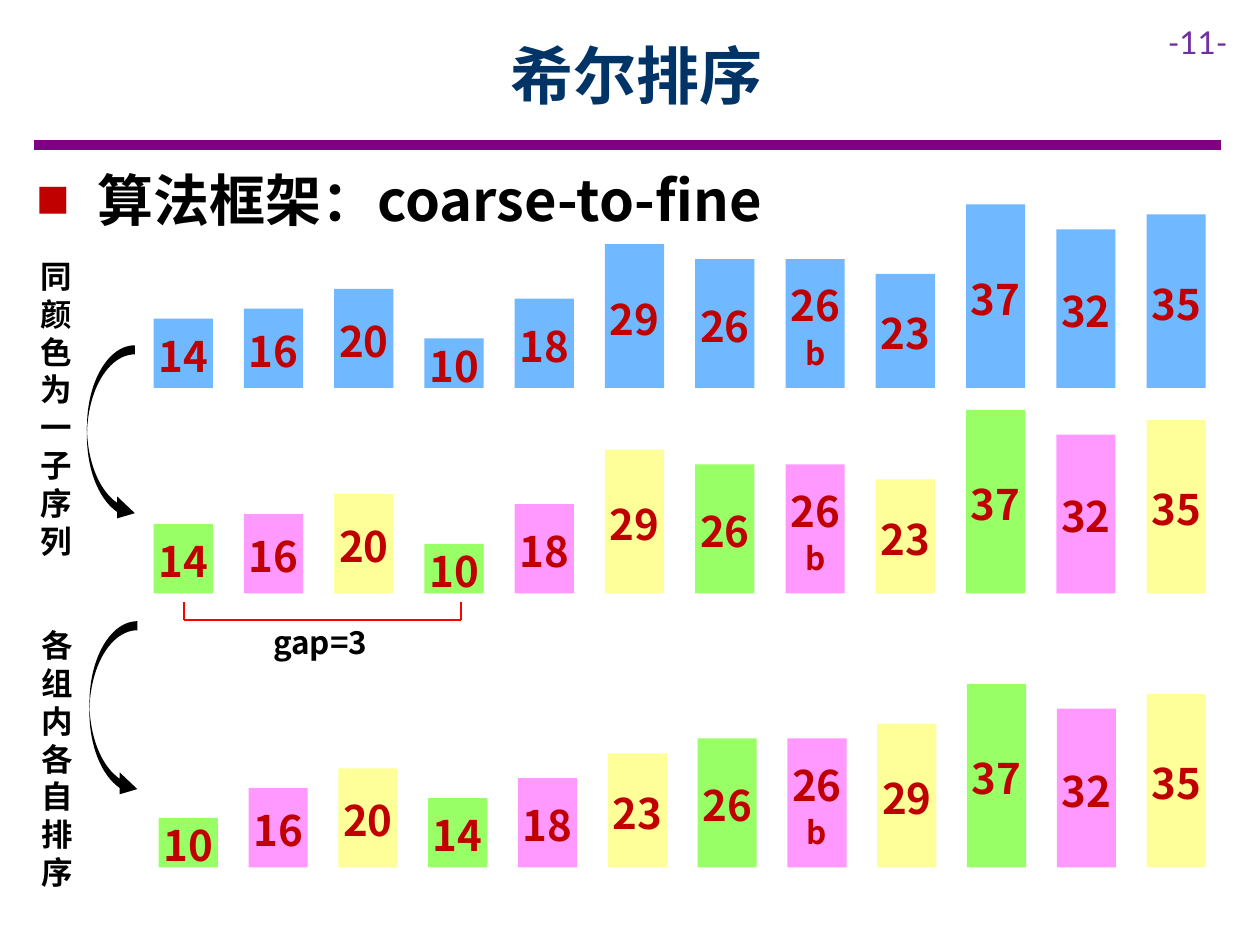
"""Build the Shell sort slide: three rows of bars, from mixed to sorted by gap."""
from dataclasses import dataclass
from itertools import cycle
from typing import Any, NamedTuple

from lxml import etree
from pptx import Presentation
from pptx import util as u
from pptx.dml.color import RGBColor
from pptx.enum import shapes, text
from pptx.oxml import ns

CELL = u.Inches(0.1)
LEFT, MID = text.PP_ALIGN.LEFT, text.PP_ALIGN.CENTER


@dataclass(frozen=True)
class Theme:
    """Colours, fonts and type sizes of the slide."""
    cjk: str = "Noto Sans CJK SC"
    latin: str = "Lato"
    navy: str = "003366"
    black: str = "000000"
    red: str = "C00000"
    line: str = "FF0000"
    rule: str = "800080"
    page: str = "7030A0"
    blue: tuple = ("70B8FF",)
    trio: tuple = ("99FF66", "FF99FF", "FFFF99")
    head: int = 36
    lead: int = 32
    num: int = 24
    small: int = 18


T = Theme()


class Box(NamedTuple):
    """A place in grid cells, 100 columns by 75 rows."""
    x: float
    y: float
    w: float
    h: float


class Row(NamedTuple):
    """A row of bars standing on one base."""
    left: float
    base: float
    fills: tuple
    items: str


class Step(NamedTuple):
    """A curved arrow and the upright label beside it."""
    arrow: Box
    label: Box
    words: str


ROWS = (
    Row(12.2, 30.8, T.blue, "14 16 20 10 18 29 26 26b 23 37 32 35"),
    Row(12.2, 47.1, T.trio, "14 16 20 10 18 29 26 26b 23 37 32 35"),
    Row(12.6, 68.85, T.trio, "10 16 20 14 18 23 26 26b 29 37 32 35"),
)
STEPS = (
    Step(Box(6.9, 27.4, 3.8, 14.2), Box(2.2, 19.9, 5.2, 25.2), "同颜色为一子序列"),
    Step(Box(7.1, 49.3, 3.8, 14.2), Box(2.3, 49.2, 5.2, 22.2), "各组内各自排序"),
)
LAST, WIDE = 91, 4.7


def put(obj: Any, fmt: dict) -> None:
    """Set attributes from a dict of format values."""
    for key, val in fmt.items():
        setattr(obj, key, val)


def place(obj: Any, box: Box) -> None:
    """Move a shape to its place on the grid."""
    names = ("left", "top", "width", "height")
    put(obj, {k: round(v * CELL) for k, v in zip(names, box)})


def write(shape: Any, lines: list, color: str, face: str = T.cjk, bold: bool = True,
          ratio: float = 0, frame: dict | None = None, para: dict | None = None) -> None:
    """Fill a shape with (words, size) lines in one style."""
    body = shape.text_frame
    put(body, {"word_wrap": True, **(frame or {})})
    for i, (words, size) in enumerate(lines):
        p = body.add_paragraph() if i else body.paragraphs[0]
        put(p, {"alignment": LEFT, **(para or {})})
        if ratio:
            p.line_spacing = u.Pt(size * ratio)
        run = p.add_run()
        run.text = words
        put(run.font, {"size": u.Pt(size), "bold": bold, "name": face})
        run.font.color.rgb = RGBColor.from_string(color)
        etree.SubElement(run.font._element, ns.qn("a:ea"), typeface=face)


def label(page: Any, box: Box, words: str, color: str, **style: Any) -> None:
    """Add a small text box."""
    shape = page.shapes.add_textbox(0, 0, 0, 0)
    place(shape, box)
    write(shape, [(words, T.small)], color, **style)


def solid(page: Any, kind: Any, box: Box, color: str) -> Any:
    """Add a flat filled shape without outline."""
    shape = page.shapes.add_shape(kind, 0, 0, 0, 0)
    place(shape, box)
    shape.shadow.inherit = False
    shape.fill.solid()
    shape.fill.fore_color.rgb = RGBColor.from_string(color)
    shape.line.fill.background()
    return shape


def stroke(page: Any, ends: tuple, color: str, width: float) -> None:
    """Add a straight line between two grid points."""
    line = page.shapes.add_connector(shapes.MSO_CONNECTOR.STRAIGHT,
                                     *(round(v * CELL) for v in ends))
    line.line.color.rgb = RGBColor.from_string(color)
    line.line.width = u.Pt(width)
    etree.SubElement(line._element.spPr, ns.qn("a:effectLst"))


def bars(page: Any, row: Row) -> None:
    """Draw a row of bars, one millimetre high per unit."""
    items = row.items.split()
    pitch = (LAST - row.left) / (len(items) - 1)
    frame = {"margin_left": 0, "margin_right": 0, "margin_top": CELL,
             "margin_bottom": CELL, "vertical_anchor": text.MSO_ANCHOR.MIDDLE}
    for i, (item, color) in enumerate(zip(items, cycle(row.fills))):
        num, mark = item[:2], item[2:]
        high = u.Mm(int(num)) / CELL
        box = Box(row.left + i * pitch, row.base - high, WIDE, high)
        bar = solid(page, shapes.MSO_SHAPE.RECTANGLE, box, color)
        lines = [(num, T.num)] + ([(mark, T.small)] if mark else [])
        write(bar, lines, T.red, ratio=1.3, frame=frame, para={"alignment": MID})


def step(page: Any, item: Step) -> None:
    """Draw a curved arrow with its upright label."""
    arrow = solid(page, shapes.MSO_SHAPE.CURVED_RIGHT_ARROW, item.arrow, T.black)
    for i, val in enumerate((0.19, 0.46, 0.37)):
        arrow.adjustments[i] = val
    label(page, item.label, item.words, T.black, ratio=1.2)


def lead(shape: Any) -> None:
    """Write the list line with its square bullet."""
    place(shape, Box(1.9, 12.2, 95.4, 6.4))
    write(shape, [(" 算法框架：coarse-to-fine", T.lead)], T.black, ratio=1.3,
          para={"space_before": u.Pt(0), "space_after": u.Pt(6)})
    props = shape.text_frame.paragraphs[0]._p.get_or_add_pPr()
    dent = u.Inches(0.38)
    props.set("marL", str(dent))
    props.set("indent", str(-dent))
    tint = etree.SubElement(props, ns.qn("a:buClr"))
    etree.SubElement(tint, ns.qn("a:srgbClr"), val=T.red)
    etree.SubElement(props, ns.qn("a:buSzPct"), val="60000")
    etree.SubElement(props, ns.qn("a:buFont"), typeface=T.cjk)
    etree.SubElement(props, ns.qn("a:buChar"), char="■")


def main() -> None:
    """Compose and save the slide."""
    deck = Presentation()
    put(deck, {"slide_width": 100 * CELL, "slide_height": 75 * CELL})
    page = deck.slides.add_slide(deck.slide_layouts[1])
    stroke(page, (2.7, 11.5, 96.9, 11.5), T.rule, 6)
    label(page, Box(91.7, 1.3, 8.3, 4), "-11-", T.page, face=T.latin, bold=False)
    title, body = page.placeholders
    place(title, Box(9, 0.9, 83.1, 10))
    write(title, [("希尔排序", T.head)], T.navy, para={"alignment": MID},
          frame={"vertical_anchor": text.MSO_ANCHOR.MIDDLE})
    lead(body)
    for item in STEPS:
        step(page, item)
    for row in ROWS:
        bars(page, row)
    near, far, low, high = 14.6, 36.6, 49.2, 47.8
    for ends in ((far, low, near, low), (near, low, near, high), (far, low, far, high)):
        stroke(page, ends, T.line, 1.5)
    label(page, Box(20.7, 48.7, 10.3, 4), "gap=3", T.black, ratio=1.3,
          frame={"word_wrap": False})
    deck.save("out.pptx")


if __name__ == "__main__":
    main()
